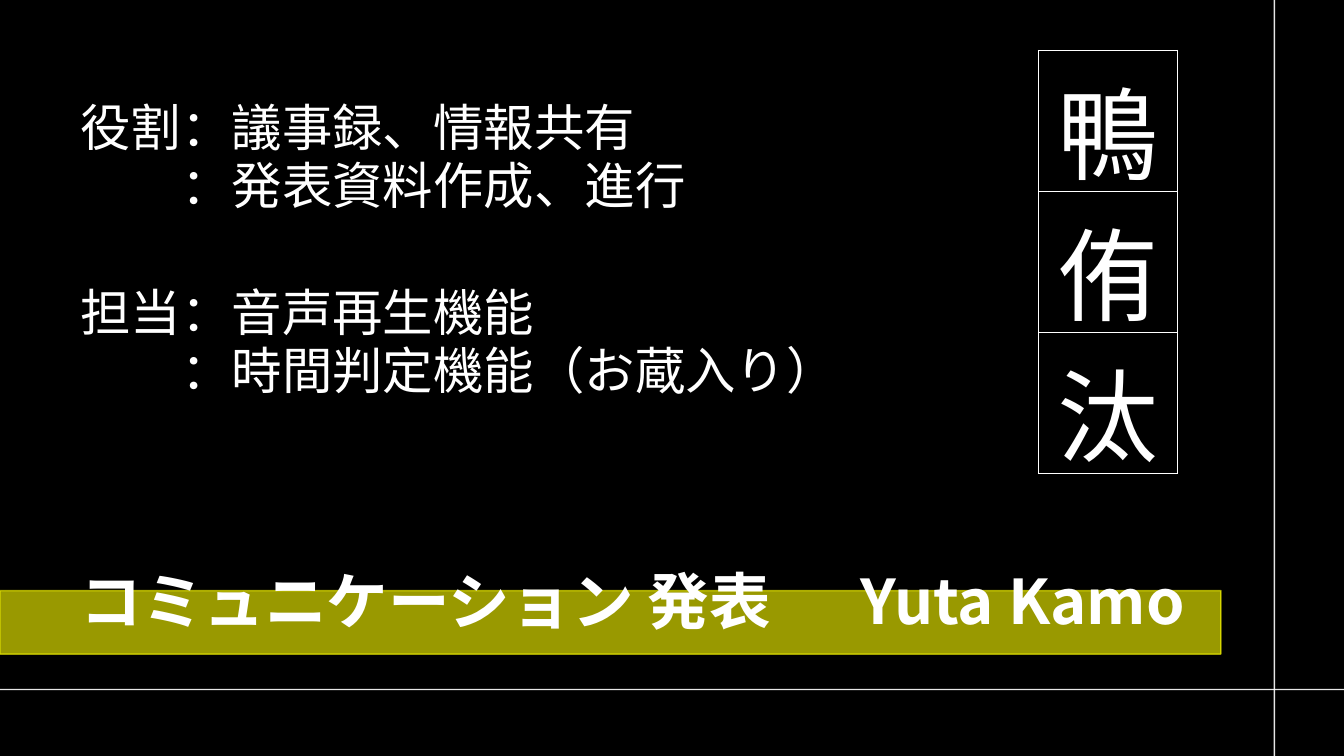
"""Build a self-introduction slide with duties, a vertical name and a title band."""
from lxml import etree
from pptx import Presentation
from pptx import util as u
from pptx.dml.color import RGBColor
from pptx.enum import shapes, text
from pptx.oxml.ns import qn

FONT = "Noto Sans CJK JP"
WHITE, BLACK, YELLOW = "FFFFFF", "000000", "FFFF00"
DUTIES = [
    ("役割：議事録、情報共有", 0, 0),
    ("：発表資料作成、進行", 1, 7),
    ("担当：音声再生機能", 0, 56),
    ("：時間判定機能（お蔵入り）", 1, 7),
]


def paint(fill, color, alpha=100):
    """Make a fill solid in a hex colour with an opacity in percent."""
    fill.solid()
    fill.fore_color.rgb = RGBColor.from_string(color)
    if alpha < 100:
        srgb = fill._xPr.find(qn("a:solidFill")).find(qn("a:srgbClr"))
        etree.SubElement(srgb, qn("a:alpha"), val=str(alpha * 1000))


def add_run(p, words, size, bold=False):
    """Add a white run to a paragraph."""
    r = p.add_run()
    r.text = words
    r.font.size, r.font.bold, r.font.name = u.Pt(size), bold, FONT
    paint(r.font.fill, WHITE)
    etree.SubElement(r.font._element, qn("a:ea"), typeface=FONT)


def add_text_box(s, left, top, width, height, anchor):
    """Add a wrapping text box and return its text frame."""
    tf = s.shapes.add_textbox(*map(u.Inches, (left, top, width, height))).text_frame
    tf.word_wrap = True
    tf.vertical_anchor = anchor
    return tf


def add_band(s):
    """Add the translucent band behind the title."""
    sp = s.shapes.add_shape(shapes.MSO_SHAPE.RECTANGLE,
                            *map(u.Inches, (0, 5.86, 12.11, 0.63)))
    sp.shadow.inherit = False
    paint(sp.fill, YELLOW, 60)
    sp.line.width = u.Pt(1)
    paint(sp.line.fill, YELLOW, 60)


def add_title(s):
    """Add the title, with the name at a tab stop."""
    tf = add_text_box(s, 0.7, 5.27, 11.5, 1.45, text.MSO_ANCHOR.MIDDLE)
    p = tf.paragraphs[0]
    p.line_spacing = 0.9
    tabs = etree.SubElement(p._p.get_or_add_pPr(), qn("a:tabLst"))
    etree.SubElement(tabs, qn("a:tab"), pos=str(u.Inches(7.74)), algn="l")
    add_run(p, "コミュニケーション 発表\tYuta Kamo", 44, True)


def add_duties(s):
    """Add the roles and tasks, continued lines indented to the colon."""
    tf = add_text_box(s, 0.7, 1.02, 8.3, 4.76, text.MSO_ANCHOR.TOP)
    for i, (words, indent, before) in enumerate(DUTIES):
        p = tf.add_paragraph() if i else tf.paragraphs[0]
        p.line_spacing, p.space_before = 0.8, u.Pt(before)
        p._p.get_or_add_pPr().set("marL", str(u.Inches(indent)))
        add_run(p, words, 36)


def add_rule(s, x1, y1, x2, y2):
    """Add a thin white line across the slide."""
    line = s.shapes.add_connector(shapes.MSO_CONNECTOR.STRAIGHT,
                                  *map(u.Inches, (x1, y1, x2, y2)))
    line.line.width = u.Pt(1)
    paint(line.line.fill, WHITE, 90)
    etree.SubElement(line._element.spPr, qn("a:effectLst"))


def add_borders(cell):
    """Give a cell white borders on all four sides."""
    tcPr = cell._tc.get_or_add_tcPr()
    for i, side in enumerate(("lnL", "lnR", "lnT", "lnB")):
        ln = etree.Element(qn(f"a:{side}"), w=str(u.Pt(1)))
        solid = etree.SubElement(ln, qn("a:solidFill"))
        etree.SubElement(solid, qn("a:srgbClr"), val=WHITE)
        tcPr.insert(i, ln)


def add_name_table(s, name):
    """Add the name as a column with one character per cell."""
    frame = s.shapes.add_table(len(name), 1,
                               *map(u.Inches, (10.3, 0.5, 1.38, 1.4 * len(name))))
    table = frame.table
    table.first_row = table.horz_banding = False
    for row, char in zip(table.rows, name):
        cell = row.cells[0]
        cell.fill.background()
        add_borders(cell)
        p = cell.text_frame.paragraphs[0]
        p.alignment = text.PP_ALIGN.CENTER
        add_run(p, char, 72)


def main():
    """Build and save the slide."""
    prs = Presentation()
    prs.slide_width, prs.slide_height = u.Inches(13.33), u.Inches(7.5)
    s = prs.slides.add_slide(prs.slide_layouts[6])
    paint(s.background.fill, BLACK)
    add_band(s)
    add_title(s)
    add_duties(s)
    add_rule(s, 13.33, 6.84, 0, 6.84)
    add_rule(s, 12.64, 0, 12.64, 7.5)
    add_name_table(s, "鴨侑汰")
    prs.save("out.pptx")


if __name__ == "__main__":
    main()
